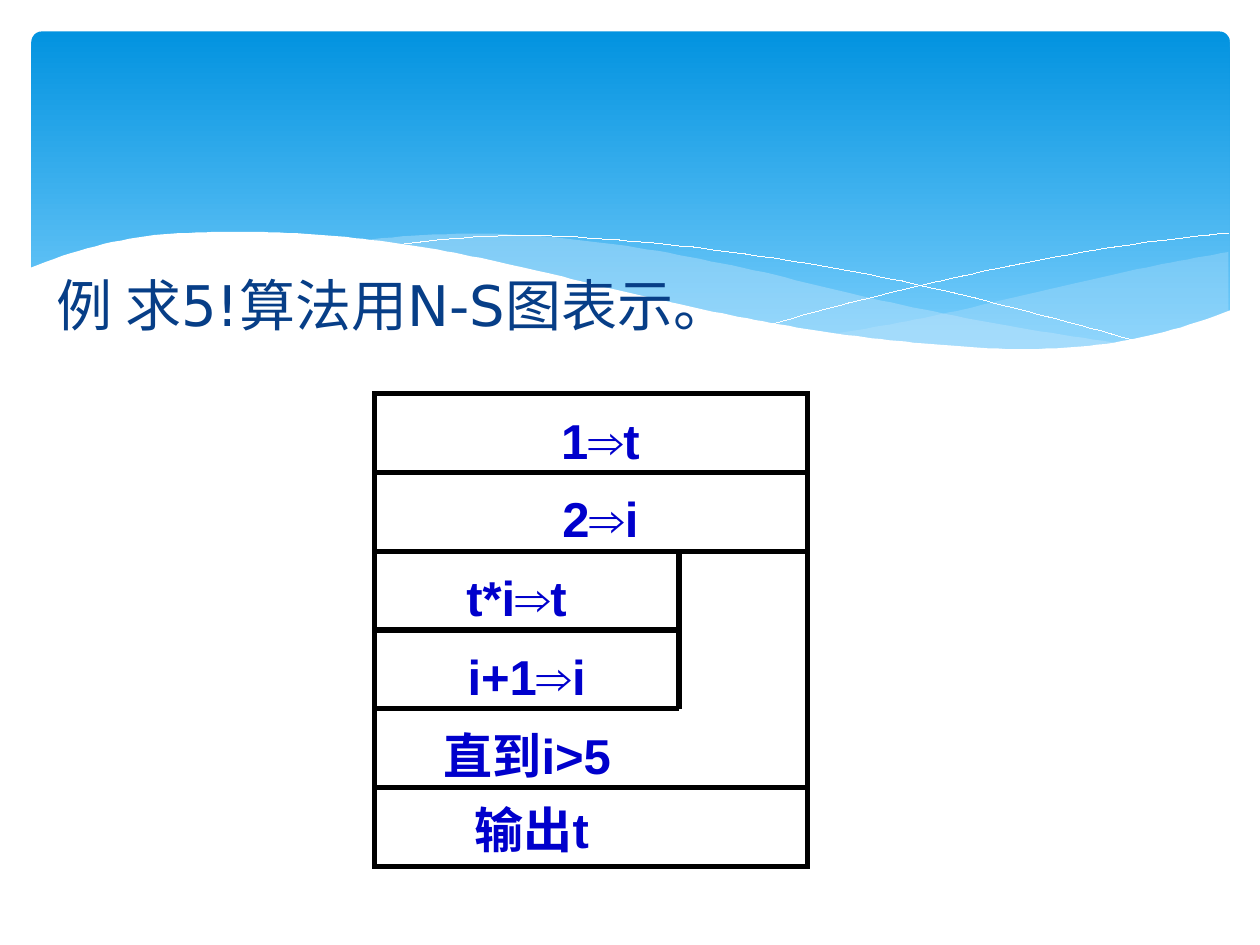
from lxml import etree
from pptx import Presentation, util as u
from pptx.dml.color import RGBColor
from pptx.enum import shapes as s, text as t
from pptx.oxml.ns import qn

PX = 4572  # 200 px to the inch
SKY = RGBColor(0x02, 0x93, 0xE0)
PALE = RGBColor(0x83, 0xD3, 0xFE)
MIST = RGBColor(0xC6, 0xE7, 0xFC)
WHITE = RGBColor(255, 255, 255)
BLACK = RGBColor(0, 0, 0)
NAVY = RGBColor(0x07, 0x3E, 0x87)
BLUE = RGBColor(0, 0, 0xCC)
HAIR, THICK = u.Emu(1), u.Pt(3)
CUTS = 12  # short lines drawn between two knots of a curve

deck = Presentation()
deck.slide_width, deck.slide_height = 2000 * PX, 1500 * PX
slide = deck.slides.add_slide(deck.slide_layouts[6])
parts = slide.shapes


def curve(left, right, knots):
    """Smooth points through heights that stand evenly from left to right."""
    # One more knot at each end, carried on along a parabola
    first = 3 * knots[0] - 3 * knots[1] + knots[2]
    last = 3 * knots[-1] - 3 * knots[-2] + knots[-3]
    ys = [first, *knots, last]
    spans = len(knots) - 1
    pts = []
    for n in range(spans * CUTS + 1):
        k = min(n // CUTS, spans - 1)
        f = n / CUTS - k
        a, b, c, d = ys[k:k + 4]
        # Catmull-Rom spline between b and c
        y = b + f / 2 * (c - a + f * (2 * a - 5 * b + 4 * c - d
                                      + f * (3 * b - a - 3 * c + d)))
        x = left + (right - left) * n / (spans * CUTS)
        pts.append((round(x), round(y, 2)))
    return pts


def write(frame, words, font, size, color, bold=False):
    """Put one run into the first paragraph of a frame."""
    run = frame.paragraphs[0].add_run()
    run.text = words
    run.font.name, run.font.size, run.font.bold = font, u.Pt(size), bold
    run.font.color.rgb = color


# Banner
banner = parts.add_shape(s.MSO_SHAPE.ROUNDED_RECTANGLE,
                         50 * PX, 50 * PX, 1902 * PX, 540 * PX)
banner.adjustments[0] = 0.03
banner.shadow.inherit = False
banner.line.fill.background()
banner.fill.gradient()
banner.fill.gradient_angle = 270
for stop, color, at in zip(banner.fill.gradient_stops, (SKY, PALE), (0, 1)):
    stop.color.rgb, stop.position = color, at

# Waves, from back to front: left, right, crest heights, floor heights,
# fill, opacity in percent; a wave without a floor is a white hairline
waves = [
    (1322, 1950, [530, 502, 466, 430, 400],
     [530, 549, 556, 541, 495], MIST, 29),
    (572, 1786, [382, 371, 388, 425, 473, 514, 546],
     [382, 415, 463, 506, 539, 555, 546], MIST, 40),
    (618, 1814, [390, 374, 384, 408, 443, 490, 544], None, None, 100),
    (1226, 1950, [514, 466, 425, 392, 370], None, None, 100),
    (46, 1954, [426, 379, 368, 374, 394, 427, 465, 500, 528, 546, 554, 539, 492],
     [658] * 3, WHITE, 100),
]
for left, right, crest, floor, fill, alpha in waves:
    pts = curve(left, right, crest)
    if floor:
        pts += reversed(curve(left, right, floor))
    pen = parts.build_freeform(*pts[0], scale=PX)
    pen.add_line_segments(pts[1:], close=bool(floor))
    shape = pen.convert_to_shape()
    shape.shadow.inherit = False
    if floor:
        shape.line.fill.background()
        shape.fill.solid()
        shape.fill.fore_color.rgb = fill
        tint = shape._element.spPr.find(".//" + qn("a:srgbClr"))
        etree.SubElement(tint, qn("a:alpha"), val=str(alpha * 1000))
    else:
        shape.fill.background()
        shape.line.color.rgb, shape.line.width = WHITE, HAIR

# Title
title = parts.add_textbox(70 * PX, 420 * PX, 1784 * PX, 188 * PX).text_frame
title.word_wrap = True
write(title, "例 求5!算法用N-S图表示。", "DejaVu Sans", 32, NAVY)

# Chart frame: six equal rows, the loop body ends at the inner edge
LEFT, TOP, WIDE, ROW, INNER = 594, 625, 688, 125, 1078
RIGHT = LEFT + WIDE
frame = parts.add_shape(s.MSO_SHAPE.FLOWCHART_PROCESS,
                        LEFT * PX, TOP * PX, WIDE * PX, 6 * ROW * PX)
frame.shadow.inherit = False
frame.fill.background()
frame.line.color.rgb, frame.line.width = BLACK, THICK
etree.SubElement(frame._element.spPr.find(qn("a:ln")), qn("a:miter"), lim="800000")

# Row rules, and the upright edge of the loop body
rules = [(LEFT, TOP + n * ROW, end, TOP + n * ROW)
         for n, end in enumerate([RIGHT, RIGHT, INNER, INNER, RIGHT], 1)]
rules.append((INNER, TOP + 2 * ROW, INNER, TOP + 4 * ROW))
for rule in rules:
    line = parts.add_connector(s.MSO_CONNECTOR.STRAIGHT, *(v * PX for v in rule))
    line.line.color.rgb, line.line.width = BLACK, THICK
    etree.SubElement(line._element.spPr, qn("a:effectLst"))
    if rule[:2] == (LEFT, TOP + 3 * ROW):  # middle of the frame's left side
        line.begin_connect(frame, 1)

# Steps, one to a row: words, left, width
steps = [("1⇒t", 844, 218), ("2⇒i", 844, 218), ("t*i⇒t", 672, 296),
         ("i+1⇒i", 688, 296), ("直到i>5", 626, 422)]
for n, (words, left, wide) in enumerate(steps):
    box = parts.add_textbox(left * PX, (TOP + 16 + n * ROW) * PX,
                            wide * PX, 114 * PX).text_frame
    box.word_wrap = True
    box.paragraphs[0].alignment = t.PP_ALIGN.CENTER
    write(box, words, "Arial", 28, BLUE, True)

# Output step
out = parts.add_shape(s.MSO_SHAPE.PARALLELOGRAM,
                      672 * PX, 1254 * PX, 344 * PX, 124 * PX)
out.shadow.inherit = False
out.fill.background()
out.line.fill.background()
body = out.text_frame
body.margin_left = body.margin_right = body.margin_top = body.margin_bottom = 0
body.word_wrap = False
body.vertical_anchor = t.MSO_ANCHOR.MIDDLE
body.paragraphs[0].alignment = t.PP_ALIGN.CENTER
write(body, "输出t", "Arial", 28, BLUE, True)

deck.save("out.pptx")
